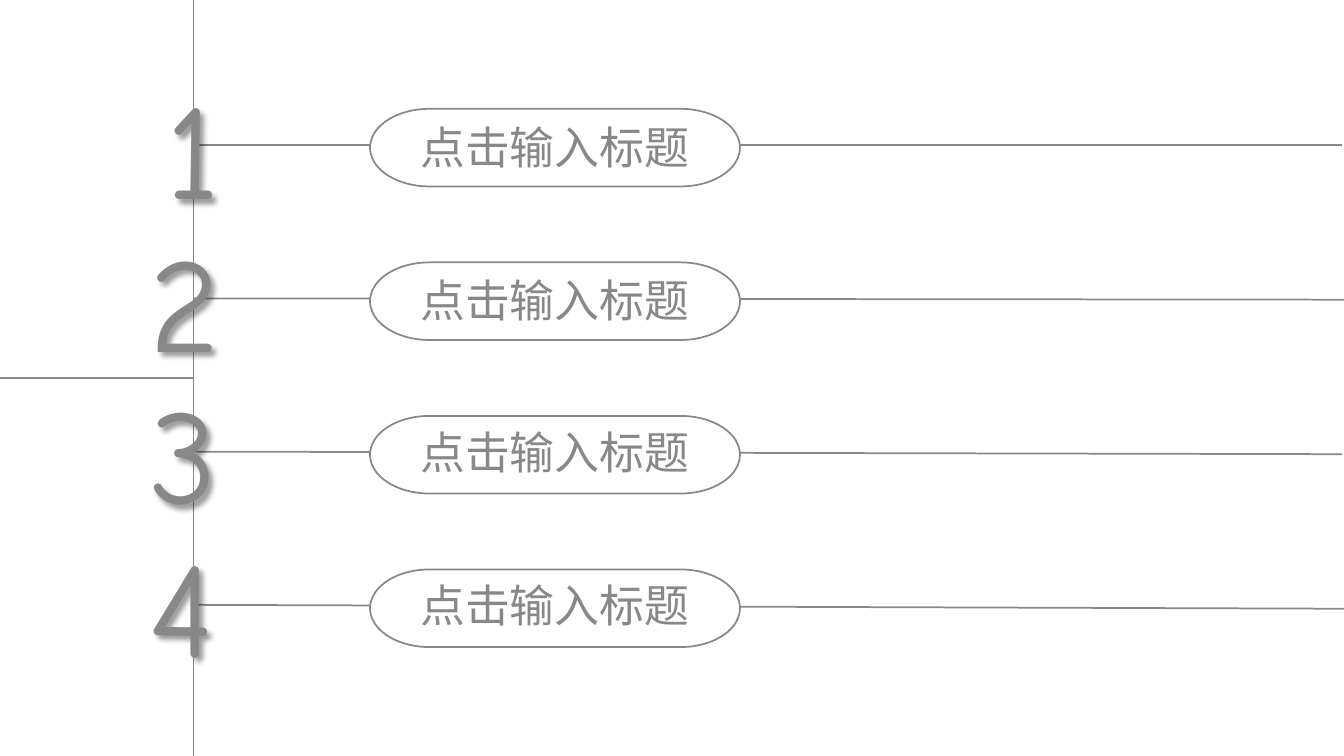
from dataclasses import dataclass

from lxml.etree import SubElement
from pptx import Presentation
from pptx.dml.color import RGBColor
from pptx.enum.shapes import MSO_CONNECTOR, MSO_SHAPE
from pptx.enum.text import MSO_AUTO_SIZE
from pptx.oxml import parse_xml
from pptx.oxml.ns import nsdecls, qn
from pptx.util import Inches, Pt

WIDE, HIGH = 13.33, 7.5
GREY, WHITE = "888886", "FFFFFF"
SANS, COMIC = "Noto Sans CJK SC", "Comic Neue"
RAIL = 14.4  # column of the upright line
SHADE = (
    f'<a:effectLst {nsdecls("a")}><a:outerShdw blurRad="50800" dist="50800" '
    'dir="2700000" algn="tl" rotWithShape="0"><a:srgbClr val="000000">'
    '<a:alpha val="40000"/></a:srgbClr></a:outerShdw></a:effectLst>'
)


@dataclass
class Box:
    """A frame on a grid of 100 columns and 100 rows, repeated every step rows."""
    left: float
    top: float
    width: float
    height: float
    step: float

    def place(self, row: int) -> tuple:
        return (col(self.left), line(self.top + row * self.step),
                col(self.width), line(self.height))


@dataclass
class Item:
    digit: str
    title: str
    end: float
    frame: Box


PILL = Box(27.53, 14.4, 27.53, 10.27, 20.31)
LABEL = Box(30.53, 15.2, 25.58, 8.53, 20.18)
SLIM = Box(11.63, 8, 5.48, 22.93, 20.18)
BROAD = Box(10.35, 8, 6.75, 22.93, 20.18)
ITEMS = [
    Item("1", "点击输入标题", 99.85, SLIM),
    Item("2", "点击输入标题", 100, BROAD),
    Item("3", "点击输入标题", 99.85, BROAD),
    Item("4", "点击输入标题", 100, BROAD),
]


def col(share: float) -> int:
    return Inches(WIDE * share / 100)


def line(share: float) -> int:
    return Inches(HIGH * share / 100)


def tint(code: str) -> RGBColor:
    return RGBColor.from_string(code)


def stroke(shape) -> None:
    shape.line.color.rgb = tint(GREY)
    shape.line.width = Pt(1.25)


def rule(slide, x1: float, y1: float, x2: float, y2: float) -> None:
    wire = slide.shapes.add_connector(
        MSO_CONNECTOR.STRAIGHT, col(x1), line(y1), col(x2), line(y2))
    stroke(wire)
    SubElement(wire._element.spPr, qn("a:effectLst"))


def pill(slide, row: int) -> None:
    shape = slide.shapes.add_shape(
        MSO_SHAPE.FLOWCHART_TERMINATOR, *PILL.place(row))
    shape.fill.solid()
    shape.fill.fore_color.rgb = tint(WHITE)
    stroke(shape)
    shape.shadow.inherit = False


def write(slide, place: tuple, text: str, face: str, size: int, wrap: bool):
    box = slide.shapes.add_textbox(*place)
    frame = box.text_frame
    frame.word_wrap = wrap
    frame.auto_size = MSO_AUTO_SIZE.SHAPE_TO_FIT_TEXT
    run = frame.paragraphs[0].add_run()
    run.text = text
    run.font.color.rgb = tint(GREY)
    for key, value in {"name": face, "size": Pt(size)}.items():
        setattr(run.font, key, value)
    SubElement(run._r.get_or_add_rPr(), qn("a:ea"), typeface=face)
    return box


def main() -> None:
    deck = Presentation()
    deck.slide_width, deck.slide_height = col(100), line(100)
    slide = deck.slides.add_slide(deck.slide_layouts[6])

    rule(slide, RAIL, 100, RAIL, 0)
    for row, item in enumerate(ITEMS):
        rule(slide, RAIL, 19.2 + row * 20.27, item.end, 19.2 + row * 20.44)
        pill(slide, row)
    rule(slide, 0, 50, RAIL, 50)

    for row, item in enumerate(ITEMS):
        write(slide, LABEL.place(row), item.title, SANS, 32, True)
        digit = write(slide, item.frame.place(row), item.digit, COMIC, 96, False)
        digit._element.spPr.append(parse_xml(SHADE))

    deck.save("out.pptx")


if __name__ == "__main__":
    main()
